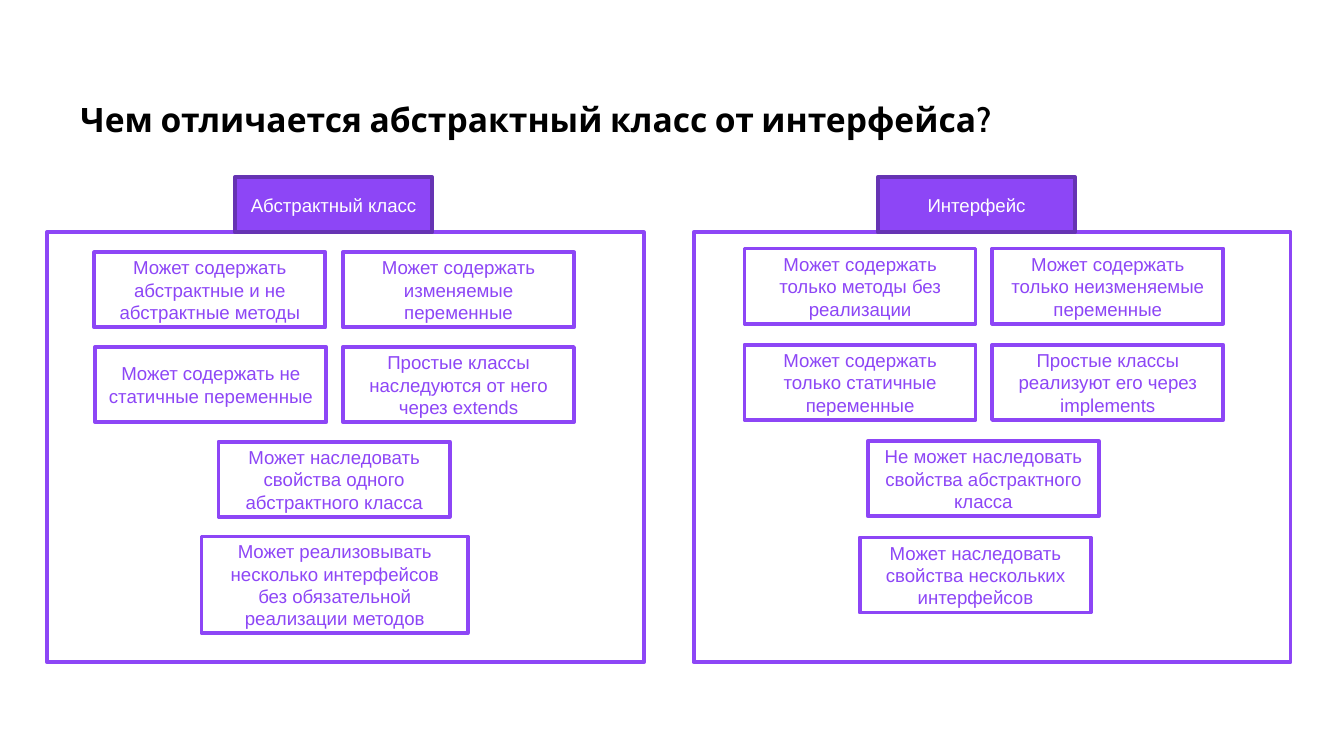
"""Build a slide comparing an abstract class with an interface."""
from dataclasses import dataclass

from pptx import Presentation
from pptx.dml.color import RGBColor
from pptx.enum.shapes import MSO_SHAPE
from pptx.enum.text import MSO_ANCHOR, MSO_AUTO_SIZE, PP_ALIGN
from pptx.util import Cm, Pt


@dataclass(frozen=True)
class Theme:
    violet: RGBColor = RGBColor(0x8D, 0x46, 0xF6)
    dark_violet: RGBColor = RGBColor(0x66, 0x33, 0xB3)
    white: RGBColor = RGBColor(0xFF, 0xFF, 0xFF)
    black: RGBColor = RGBColor(0, 0, 0)
    title_size: Pt = Pt(18)
    body_size: Pt = Pt(10)
    outline: Pt = Pt(2)
    title_font: str = "Cabin"
    body_font: str = "Arial"


theme = Theme()


def write(frame, text, *, color, size=theme.body_size, font=theme.body_font,
          bold=False, align=PP_ALIGN.CENTER, anchor=MSO_ANCHOR.MIDDLE, spacing=None):
    frame.word_wrap = True
    frame.vertical_anchor = anchor
    paragraph = frame.paragraphs[0]
    paragraph.alignment = align
    paragraph.line_spacing = spacing
    run = paragraph.add_run()
    run.text = text
    run.font.name = font
    run.font.size = size
    run.font.bold = bold
    run.font.color.rgb = color


def add_box(group, left, top, width, height, fill=theme.white, line=theme.violet):
    box = group.shapes.add_shape(
        MSO_SHAPE.RECTANGLE, Cm(left), Cm(top), Cm(width), Cm(height))
    box.shadow.inherit = False
    box.fill.solid()
    box.fill.fore_color.rgb = fill
    box.line.color.rgb = line
    box.line.width = theme.outline
    return box


PANEL_TOP, PANEL_WIDTH, PANEL_HEIGHT = 4.39, 11.28, 8.13
HEADER_WIDTH, HEADER_HEIGHT = 3.73, 1.04
CARD_WIDTH, CARD_HEIGHT = 4.37, 1.42

columns = [
    {
        "heading": "Абстрактный класс",
        "panel_left": 0.89, "header_left": 4.44, "first_row": 4.77, "pitch": 1.79,
        "cards": [
            (0, 1.78, "Может содержать абстрактные и не абстрактные методы"),
            (0, 6.48, "Может содержать изменяемые переменные"),
            (1, 1.8, "Может содержать не статичные переменные"),
            (1, 6.48, "Простые классы наследуются от него через extends"),
            (2, 4.13, "Может наследовать свойства одного абстрактного класса"),
            (3, 3.81, "Может реализовывать несколько интерфейсов "
                      "без обязательной реализации методов", 5.03, 1.83),
        ],
    },
    {
        "heading": "Интерфейс",
        "panel_left": 13.11, "header_left": 16.59, "first_row": 4.7, "pitch": 1.82,
        "cards": [
            (0, 14.07, "Может содержать только методы без реализации"),
            (0, 18.75, "Может содержать только неизменяемые переменные"),
            (1, 14.07, "Может содержать только статичные переменные"),
            (1, 18.75, "Простые классы реализуют его через implements"),
            (2, 16.4, "Не может наследовать свойства абстрактного класса"),
            (3, 16.25, "Может наследовать свойства нескольких интерфейсов"),
        ],
    },
]

deck = Presentation()
deck.slide_width, deck.slide_height = Cm(25.4), Cm(14.29)
slide = deck.slides.add_slide(deck.slide_layouts[5])

title = slide.shapes.title
title.left, title.top, title.width, title.height = Cm(1.52), Cm(1.78), Cm(22.4), Cm(0.86)
heading = title.text_frame
heading.margin_left = heading.margin_top = heading.margin_right = heading.margin_bottom = 0
heading.auto_size = MSO_AUTO_SIZE.SHAPE_TO_FIT_TEXT
write(heading, "Чем отличается абстрактный класс от интерфейса?",
      color=theme.black, size=theme.title_size, font=theme.title_font, bold=True,
      align=PP_ALIGN.LEFT, anchor=MSO_ANCHOR.BOTTOM, spacing=0.85)

for column in columns:
    group = slide.shapes.add_group_shape()
    add_box(group, column["panel_left"], PANEL_TOP, PANEL_WIDTH, PANEL_HEIGHT)
    header = add_box(group, column["header_left"], PANEL_TOP - HEADER_HEIGHT,
                     HEADER_WIDTH, HEADER_HEIGHT, theme.violet, theme.dark_violet)
    write(header.text_frame, column["heading"], color=theme.white)
    for row, left, text, *size in column["cards"]:
        top = column["first_row"] + row * column["pitch"]
        card = add_box(group, left, top, *(size or (CARD_WIDTH, CARD_HEIGHT)))
        write(card.text_frame, text, color=theme.violet)

deck.save("out.pptx")
